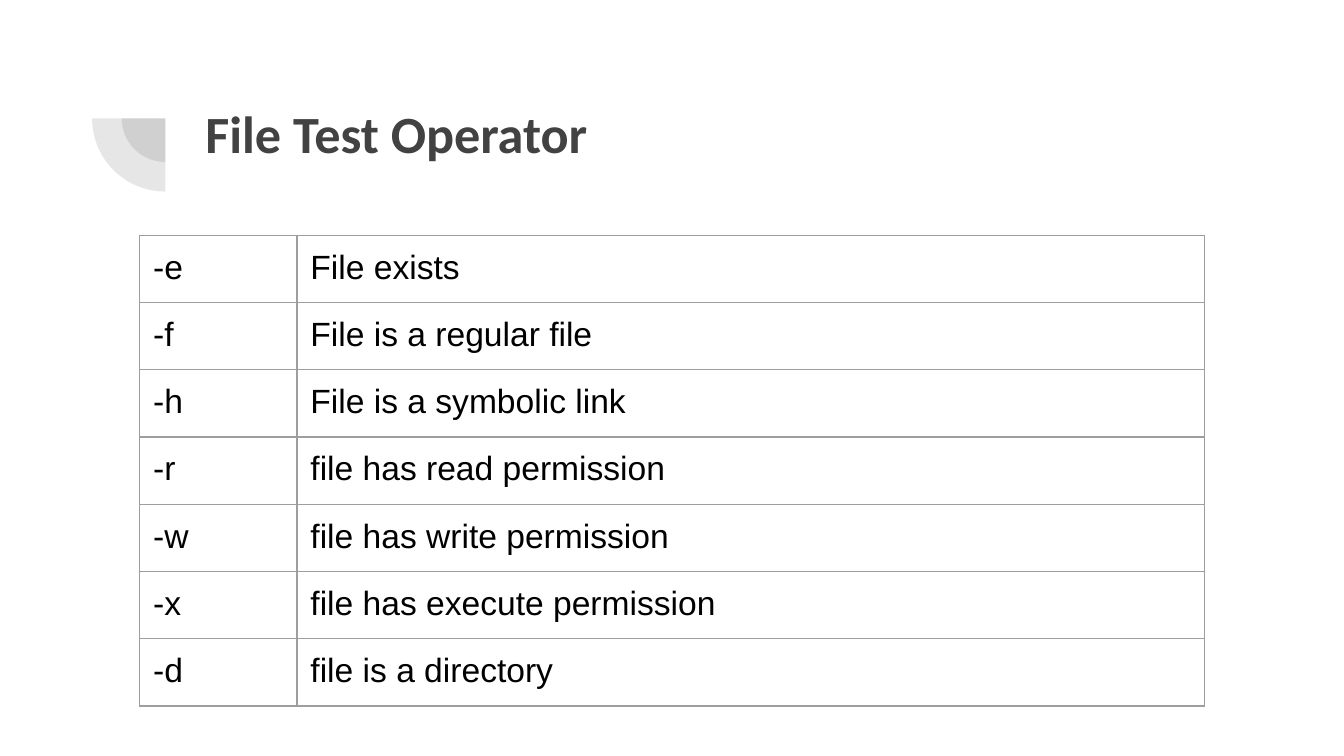
from lxml import etree
from pptx import Presentation
from pptx.dml.color import RGBColor
from pptx.enum.shapes import MSO_SHAPE
from pptx.enum.text import MSO_ANCHOR
from pptx.oxml.ns import qn
from pptx.util import Inches, Pt

PIE = MSO_SHAPE.PIE
TOP = MSO_ANCHOR.TOP

# Content
TITLE = "File Test Operator"
OPERATORS = [
    ("-e", "File exists"),
    ("-f", "File is a regular file"),
    ("-h", "File is a symbolic link"),
    ("-r", "file has read permission"),
    ("-w", "file has write permission"),
    ("-x", "file has execute permission"),
    ("-d", "file is a directory"),
]

# Layout in inches
SLIDE_WIDTH = 10
SLIDE_HEIGHT = SLIDE_WIDTH * 9 / 16
INSET = 0.1
ARC_CENTER = (1.23, 0.88)
ARC_DIAMETERS = (0.65, 1.09)
TABLE_LEFT, TABLE_TOP, TABLE_HEIGHT = 1.04, 1.75, 3.5
COLUMN_WIDTHS = (1.17, 6.75)
ROW_HEIGHT = 0.42

DARK, BLACK, BORDER = "424242", "000000", "9E9E9E"


def color(value):
    return RGBColor.from_string(value)


def format_text(text_frame, font_name, size, font_color, bold=False):
    for paragraph in text_frame.paragraphs:
        for run in paragraph.runs:
            run.font.name = font_name
            run.font.size = Pt(size)
            run.font.bold = bold
            run.font.color.rgb = color(font_color)
        # The paragraph end also counts towards the line height
        end = etree.SubElement(
            paragraph._p, qn("a:endParaRPr"), sz=str(size * 100))
        etree.SubElement(end, qn("a:latin"), typeface=font_name)


def set_insets(target):
    for side in ("left", "right", "top", "bottom"):
        setattr(target, f"margin_{side}", Inches(INSET))


def add_arc(slide, diameter):
    left, top = (center - diameter / 2 for center in ARC_CENTER)
    shape = slide.shapes.add_shape(
        PIE, Inches(left), Inches(top), Inches(diameter), Inches(diameter))
    shape.shadow.inherit = False
    shape.adjustments[0], shape.adjustments[1] = 54, 108  # 90 to 180 degrees
    shape.line.fill.background()
    shape.fill.solid()
    shape.fill.fore_color.rgb = color(DARK)
    fill_color = shape.fill._xPr.find(".//" + qn("a:srgbClr"))
    etree.SubElement(fill_color, qn("a:alpha"), val="13000")


def set_borders(cell):
    properties = cell._tc.get_or_add_tcPr()
    for position, edge in enumerate(("lnL", "lnR", "lnT", "lnB")):
        line = etree.Element(qn(f"a:{edge}"), w=str(Pt(0.75)))
        fill = etree.SubElement(line, qn("a:solidFill"))
        etree.SubElement(fill, qn("a:srgbClr"), val=BORDER)
        properties.insert(position, line)


presentation = Presentation()
presentation.slide_width = Inches(SLIDE_WIDTH)
presentation.slide_height = Inches(SLIDE_HEIGHT)
slide = presentation.slides.add_slide(presentation.slide_layouts[6])

# Quarter circles beside the title
for diameter in ARC_DIAMETERS:
    add_arc(slide, diameter)

# Title
title = slide.shapes.add_textbox(
    Inches(1.43), Inches(0.65), Inches(7.69), Inches(1.09)).text_frame
title.word_wrap = True
title.vertical_anchor = TOP
set_insets(title)
title.text = TITLE
format_text(title, "Calibri", 28, DARK, bold=True)

# Operator table
table_frame = slide.shapes.add_table(
    len(OPERATORS), len(COLUMN_WIDTHS), Inches(TABLE_LEFT), Inches(TABLE_TOP),
    Inches(sum(COLUMN_WIDTHS)), Inches(TABLE_HEIGHT))
table = table_frame.table
table.first_row = False
table.horz_banding = False
for column, width in zip(table.columns, COLUMN_WIDTHS):
    column.width = Inches(width)
for row, texts in zip(table.rows, OPERATORS):
    row.height = Inches(ROW_HEIGHT)
    for cell, text in zip(row.cells, texts):
        cell.text_frame.text = text
        set_insets(cell)
        cell.fill.background()
        set_borders(cell)
        format_text(cell.text_frame, "Arial", 18, BLACK)
table_frame.height = Inches(TABLE_HEIGHT)

presentation.save("out.pptx")
